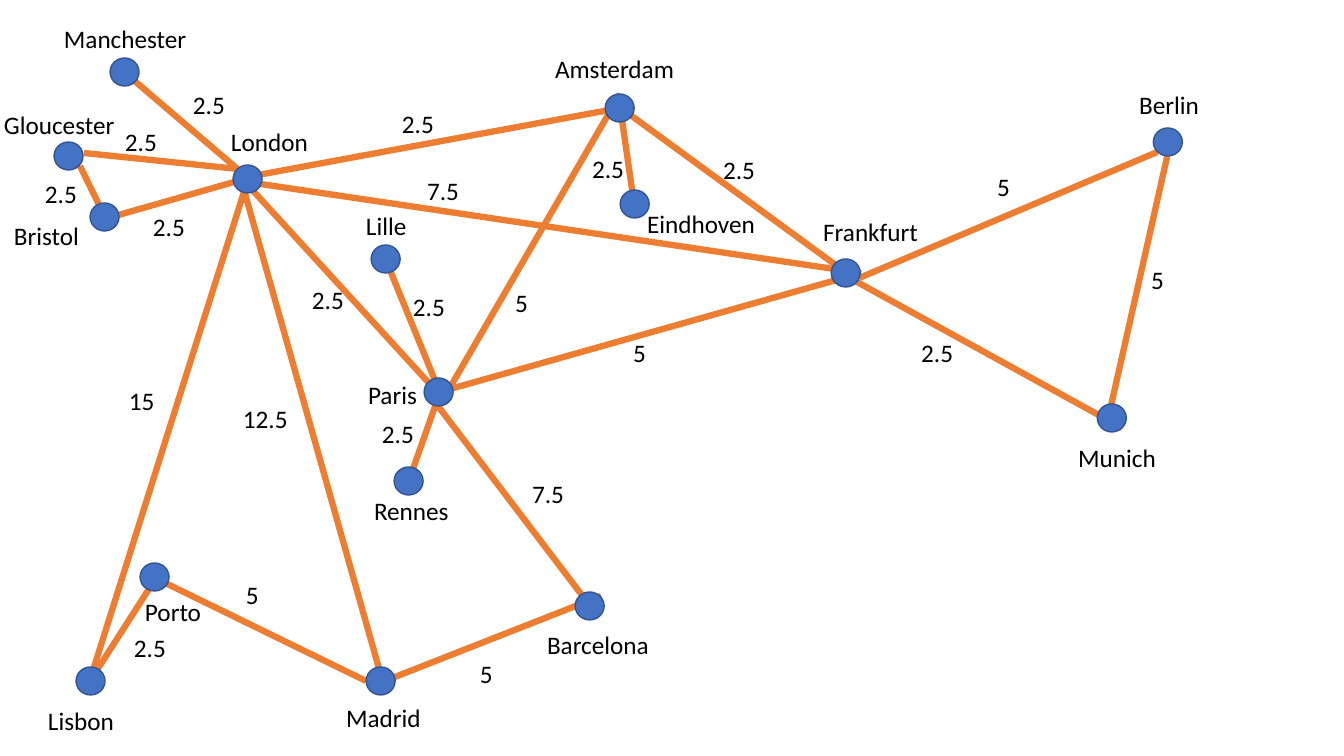
from collections import namedtuple
from dataclasses import dataclass

from lxml import etree
from pptx import Presentation
from pptx import util as u
from pptx.dml.color import RGBColor
from pptx.enum import shapes, text
from pptx.oxml.ns import qn


@dataclass(frozen=True)
class Theme:
    font: str = "Calibri"
    size: float = 18
    ink: str = "000000"
    link: str = "ED7D31"
    link_width: float = 4.5
    dot: str = "4472C4"
    dot_edge: str = "325491"
    dot_edge_width: float = 1


City = namedtuple("City", "name dot label width")
Link = namedtuple("Link", "start end weight label")

PX_PER_INCH = 100.8
DOT_SIZE = 29, 28
TEXT_HEIGHT = 40
WEIGHT_WIDTH, WIDE_WEIGHT_WIDTH = 53, 70

CITIES = [City(*row) for row in (
    ("Manchester", (110, 58), (54, 18), 150),
    ("Gloucester", (54, 142), (-6, 104), 178),
    ("Bristol", (90, 203), (4, 215), 114),
    ("London", (233, 165), (221, 121), 115),
    ("Lille", (371, 245), (356, 205), 90),
    ("Paris", (424, 378), (358, 374), 104),
    ("Rennes", (394, 467), (364, 490), 126),
    ("Amsterdam", (605, 94), (545, 48), 178),
    ("Eindhoven", (620, 190), (637, 203), 141),
    ("Frankfurt", (831, 259), (813, 211), 178),
    ("Berlin", (1153, 128), (1129, 84), 137),
    ("Munich", (1097, 404), (1068, 437), 116),
    ("Barcelona", (575, 592), (537, 624), 135),
    ("Madrid", (366, 667), (336, 697), 116),
    ("Porto", (140, 563), (135, 591), 79),
    ("Lisbon", (76, 667), (38, 700), 116),
)]

LINKS = [Link(*row) for row in (
    ((104, 215), (80, 166), "2.5", (35, 173)),
    ((238, 169), (84, 153), "2.5", (115, 121)),
    ((248, 178), (130, 77), "2.5", (183, 84)),
    ((248, 178), (108, 218), "2.5", (143, 206)),
    ((620, 108), (247, 177), "2.5", (392, 103)),
    ((620, 107), (634, 204), "2.5", (582, 148)),
    ((861, 273), (247, 182), "7.5", (417, 170)),
    ((437, 392), (245, 182), "2.5", (302, 279)),
    ((385, 258), (440, 393), "2.5", (403, 286)),
    ((861, 273), (436, 393), "5", (623, 332)),
    ((1157, 152), (859, 278), "5", (987, 166)),
    ((1167, 156), (1108, 418), "5", (1141, 259)),
    ((1122, 428), (855, 281), "2.5", (911, 332)),
    ((590, 606), (428, 393), "7.5", (522, 473)),
    ((601, 596), (377, 684), "5", (470, 653)),
    ((366, 681), (153, 577), "5", (236, 574)),
    ((156, 578), (90, 681), "2.5", (124, 627)),
    ((238, 169), (383, 683), "12.5", (233, 398)),
    ((440, 392), (409, 480), "2.5", (372, 413)),
    ((248, 179), (90, 680), "15", (119, 380)),
    ((620, 94), (445, 396), "5", (505, 282)),
    ((845, 272), (622, 109), "2.5", (713, 149)),
)]


def px(*lengths):
    return [u.Inches(n / PX_PER_INCH) for n in lengths]


class Canvas:
    def __init__(self, s, theme):
        self.s, self.theme = s, theme

    def label(self, words, at, width):
        sp = self.s.shapes.add_textbox(*px(*at, width, TEXT_HEIGHT))
        tf = sp.text_frame
        tf.word_wrap = True
        tf.auto_size = text.MSO_AUTO_SIZE.SHAPE_TO_FIT_TEXT
        p = tf.paragraphs[0]
        p.text = words
        p.font.name = self.theme.font
        p.font.size = u.Pt(self.theme.size)
        p.font.color.rgb = RGBColor.from_string(self.theme.ink)

    def stroke(self, line, color, width):
        line.color.rgb = RGBColor.from_string(color)
        line.width = u.Pt(width)

    def link(self, start, end):
        sp = self.s.shapes.add_connector(
            shapes.MSO_CONNECTOR.STRAIGHT, *px(*start, *end))
        self.stroke(sp.line, self.theme.link, self.theme.link_width)
        etree.SubElement(sp._element.spPr, qn("a:effectLst"))

    def dot(self, at):
        sp = self.s.shapes.add_shape(
            shapes.MSO_SHAPE.OVAL, *px(*at, *DOT_SIZE))
        sp.shadow.inherit = False
        sp.fill.solid()
        sp.fill.fore_color.rgb = RGBColor.from_string(self.theme.dot)
        self.stroke(sp.line, self.theme.dot_edge, self.theme.dot_edge_width)


prs = Presentation()
prs.slide_width, prs.slide_height = u.Inches(13.33), u.Inches(7.5)
canvas = Canvas(prs.slides.add_slide(prs.slide_layouts[6]), Theme())

for city in CITIES:
    canvas.label(city.name, city.label, city.width)
for link in LINKS:
    canvas.link(link.start, link.end)
for city in CITIES:
    canvas.dot(city.dot)
for link in LINKS:
    wide = len(link.weight) > 3
    canvas.label(link.weight, link.label,
                 WIDE_WEIGHT_WIDTH if wide else WEIGHT_WIDTH)

prs.save("out.pptx")
